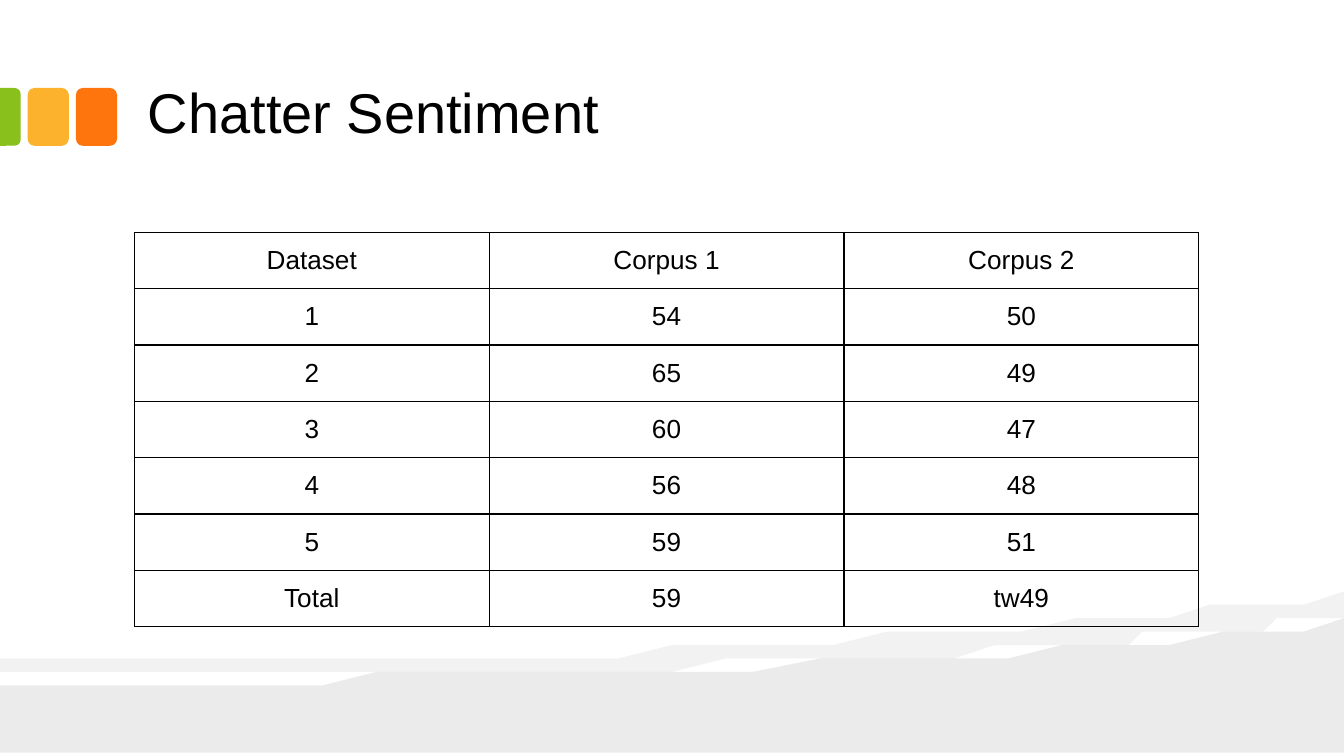
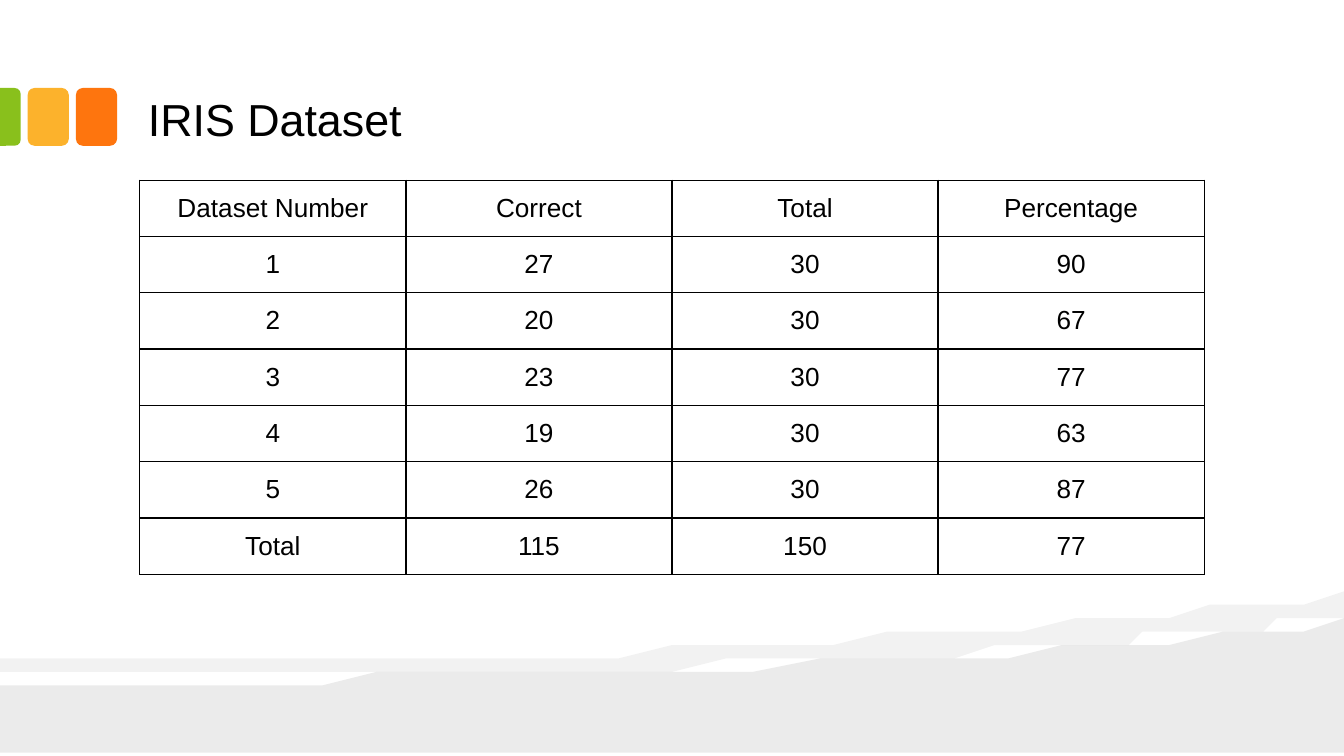
import pptx
import pptx.dml.color
import pptx.enum.shapes
import pptx.enum.text
import pptx.oxml
import pptx.oxml.ns
import pptx.util

COLS, ROWS = 100, 56.25
UNIT = pptx.util.Inches(0.1)
COLORS = {"ink": "000000", "orange": "FE750E", "yellow": "FCB22C", "green": "89C01C"}
FONT = "Arial"
SHAPES = pptx.enum.shapes.MSO_SHAPE
ANCHOR = pptx.enum.text.MSO_ANCHOR
ALIGN = pptx.enum.text.PP_ALIGN
INSETS = dict.fromkeys(
    ("margin_left", "margin_right", "margin_top", "margin_bottom"), UNIT)
TABLE_COLS, ROW_HEIGHT = 79.2, 4.18

DARK_WAVE = [(100, 46.4), (COLS, ROWS), (0, ROWS), (0, 50.6),
             (26.4, 51.2, 78.2, 49.1, 100, 46.4)]
LIGHT_WAVE = [(100, 44.4), (100, 45.9), (94.2, 46.7, 86.2, 47.4, 77.2, 48.1),
              (52.3, 49.8, 19.3, 50.8, 0, 50.4), (0, 49.3),
              (48.9, 49.7, 72.8, 47, 100, 44.4)]

SENTIMENT = [
    ("Dataset", "Corpus 1", "Corpus 2"),
    (1, 54, 50),
    (2, 65, 49),
    (3, 60, 47),
    (4, 56, 48),
    (5, 59, 51),
    ("Total", 59, "tw49"),
]
IRIS = [
    ("Dataset Number", "Correct", "Total", "Percentage"),
    (1, 27, 30, 90),
    (2, 20, 30, 67),
    (3, 23, 30, 77),
    (4, 19, 30, 63),
    (5, 26, 30, 87),
    ("Total", 115, 150, 77),
]


def grid(*cells):
    """Turn grid columns or rows into lengths."""
    return [pptx.util.Emu(round(c * UNIT)) for c in cells]


def rgb(name):
    """Look up a named colour."""
    return pptx.dml.color.RGBColor.from_string(COLORS[name])


def apply(target, **values):
    """Set each given attribute on the target."""
    for name, value in values.items():
        setattr(target, name, value)


def paint(sp, color, alpha=None):
    """Give a shape a plain fill, optionally with an opacity in percent."""
    sp.shadow.inherit = False
    sp.line.fill.background()
    sp.fill.solid()
    sp.fill.fore_color.rgb = rgb(color)
    if alpha:
        clr = sp.fill._xPr.find(".//" + pptx.oxml.ns.qn("a:srgbClr"))
        clr.append(pptx.oxml.parse_xml(
            f'<a:alpha {pptx.oxml.ns.nsdecls("a")} val="{alpha * 1000}"/>'))


def curve(start, control, steps=24):
    """Sample the points of a cubic curve."""
    pts = [start, control[:2], control[2:4], control[4:]]
    for t in (i / steps for i in range(1, steps + 1)):
        weights = ((1 - t) ** 3, 3 * t * (1 - t) ** 2, 3 * t * t * (1 - t), t ** 3)
        yield tuple(sum(w * p[axis] for w, p in zip(weights, pts)) for axis in (0, 1))


def add_wave(slide, outline, alpha):
    """Draw a translucent wave from straight and curved segments."""
    points = [outline[0]]
    for seg in outline[1:]:
        points.extend([seg] if len(seg) == 2 else curve(points[-1], seg))
    builder = slide.shapes.build_freeform(*points[0], scale=UNIT)
    builder.add_line_segments(points[1:], close=True)
    paint(builder.convert_to_shape(), "ink", alpha)


def add_tab(slide, kind, box, color, adjust, rotation=0):
    """Draw one of the coloured tabs beside the title."""
    sp = slide.shapes.add_shape(kind, *grid(*box))
    sp.rotation = rotation
    for i, value in enumerate(adjust):
        sp.adjustments[i] = value
    paint(sp, color)


def add_background(slide):
    """Draw the waves and tabs that every slide shares."""
    add_wave(slide, DARK_WAVE, 8)
    add_wave(slide, LIGHT_WAVE, 5)
    for left, color in ((5.65, "orange"), (2.06, "yellow")):
        add_tab(slide, SHAPES.ROUNDED_RECTANGLE, (left, 6.55, 3.06, 4.3), color, [0.167])
    add_tab(slide, SHAPES.ROUND_2_SAME_RECTANGLE, (-1.38, 7.93, 4.3, 1.54), "green",
            [0.292, 0], 90)


def write(p, text, size):
    """Put one styled run into a paragraph."""
    r = p.add_run()
    r.text = str(text)
    apply(r.font, size=pptx.util.Pt(size), name=FONT, bold=False)
    r.font.color.rgb = rgb("ink")


def set_title(slide, text, size):
    """Place and format the title placeholder."""
    sp = slide.shapes.title
    apply(sp, **dict(zip(("left", "top", "width", "height"), grid(10, 1.2, 80, 10.6))))
    tf = sp.text_frame
    apply(tf, vertical_anchor=ANCHOR.BOTTOM, word_wrap=True,
          auto_size=pptx.enum.text.MSO_AUTO_SIZE.NONE, **INSETS)
    p = tf.paragraphs[0]
    p.alignment = ALIGN.LEFT
    write(p, text, size)
    sp.element.getparent().append(sp.element)


def set_borders(cell):
    """Draw a thin line on all four sides of a cell."""
    for i, side in enumerate("LRTB"):
        cell._tc.get_or_add_tcPr().insert(i, pptx.oxml.parse_xml(
            f'<a:ln{side} {pptx.oxml.ns.nsdecls("a")} w="{pptx.util.Pt(0.75)}">'
            f'<a:solidFill><a:srgbClr val="{COLORS["ink"]}"/></a:solidFill></a:ln{side}>'))


def add_results(slide, left, top, data):
    """Add a table of equal columns and rows."""
    n_rows, n_cols = len(data), len(data[0])
    box = grid(left, top, TABLE_COLS, n_rows * ROW_HEIGHT)
    table = slide.shapes.add_table(n_rows, n_cols, *box).table
    apply(table, first_row=False, horz_banding=False)
    for r, values in enumerate(data):
        for c, value in enumerate(values):
            cell = table.cell(r, c)
            apply(cell, **INSETS)
            cell.fill.background()
            set_borders(cell)
            p = cell.text_frame.paragraphs[0]
            p.alignment = ALIGN.CENTER
            write(p, value, 14)


def add_slide(prs, title, size, left, top, data):
    """Add a titled slide holding one results table."""
    slide = prs.slides.add_slide(prs.slide_layouts[5])
    add_background(slide)
    set_title(slide, title, size)
    add_results(slide, left, top, data)


def main():
    """Build and save the presentation."""
    prs = pptx.Presentation()
    prs.slide_width, prs.slide_height = grid(COLS, ROWS)
    add_slide(prs, "Chatter Sentiment", 30, 10, 17.3, SENTIMENT)
    add_slide(prs, "IRIS Dataset", 24, 10.4, 13.4, IRIS)
    prs.save("out.pptx")


if __name__ == "__main__":
    main()
